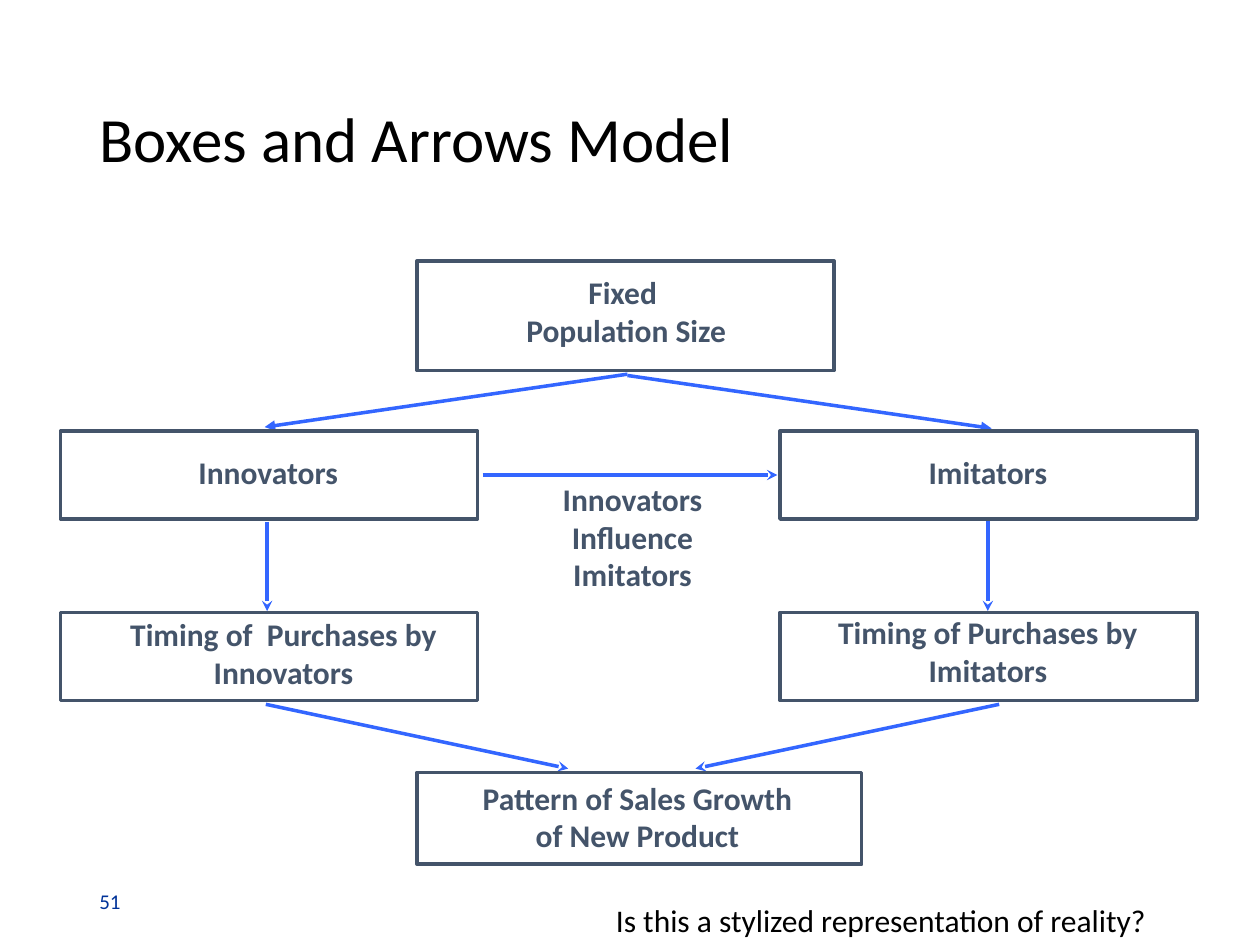
from lxml import etree
from pptx import Presentation
from pptx.dml.color import RGBColor
from pptx.enum.shapes import MSO_CONNECTOR, MSO_SHAPE
from pptx.enum.text import MSO_ANCHOR, PP_ALIGN
from pptx.oxml.ns import qn
from pptx.util import Inches, Pt

RECTANGLE, STRAIGHT = MSO_SHAPE.RECTANGLE, MSO_CONNECTOR.STRAIGHT
LEFT, CENTER = PP_ALIGN.LEFT, PP_ALIGN.CENTER
TOP, MIDDLE = MSO_ANCHOR.TOP, MSO_ANCHOR.MIDDLE

BLACK = RGBColor(0x00, 0x00, 0x00)
WHITE = RGBColor(0xFF, 0xFF, 0xFF)
SLATE = RGBColor(0x44, 0x54, 0x6A)
BLUE = RGBColor(0x33, 0x66, 0xFF)
NAVY = RGBColor(0x00, 0x33, 0x99)
FONT = "Calibri"

# Content
TITLE = "Boxes and Arrows Model"
QUESTION = "Is this a stylized representation of reality?"
PAGE_NUMBER = "51"

# Grid of the diagram, in inches
COLUMNS = {"left": 0.48, "middle": 3.31, "right": 6.19}
ROWS = {"population": 2.07, "groups": 3.42, "timing": 4.86, "sales": 6.13}
BOX_WIDTH, BOX_HEIGHT = 3.31, 0.7
LINE_HEIGHT, LABEL_PADDING = 0.3, 0.1

# Column, row, width, height
BOXES = [
    ("middle", "population", BOX_WIDTH, 0.87),
    ("left", "groups", BOX_WIDTH, BOX_HEIGHT),
    ("right", "groups", BOX_WIDTH, BOX_HEIGHT),
    ("left", "timing", BOX_WIDTH, BOX_HEIGHT),
    ("right", "timing", BOX_WIDTH, BOX_HEIGHT),
    ("middle", "sales", 3.53, 0.73),
]

# Lines of text, centre, top, width
LABELS = [
    (["Fixed ", "Population Size"], 4.97, 2.12, 2.79),
    (["Innovators"], 2.13, 3.55, 1.5),
    (["Imitators"], 7.84, 3.55, 1.31),
    (["Innovators", "Influence", "Imitators"], 5.02, 3.76, 1.5),
    (["Timing of  Purchases by", "Innovators"], 2.25, 4.83, 3.25),
    (["Timing of Purchases by", "Imitators"], 7.84, 4.82, 3.42),
    (["Pattern of Sales Growth", "of New Product"], 5.06, 6.13, 3.53),
]

# Start, end, arrowhead
ARROWS = [
    ((4.98, 2.97), (2.1, 3.39), "triangle"),
    ((4.98, 2.98), (7.87, 3.4), "triangle"),
    ((3.83, 3.77), (6.17, 3.77), "stealth"),
    ((2.12, 4.14), (2.12, 4.85), "stealth"),
    ((7.84, 4.1), (7.84, 4.85), "stealth"),
    ((2.11, 5.59), (4.51, 6.1), "stealth"),
    ((7.93, 5.59), (5.52, 6.1), "stealth"),
]


def add_text(page, lines, place, size, color, bold=False,
             align=LEFT, anchor=TOP, wrap=True, spacing=1.0):
    frame = page.shapes.add_textbox(*map(Inches, place)).text_frame
    frame.word_wrap = wrap
    frame.vertical_anchor = anchor
    frame.text = "\n".join(lines)
    for para in frame.paragraphs:
        para.alignment = align
        para.line_spacing = spacing
        for span in para.runs:
            span.font.name = FONT
            span.font.size = Pt(size)
            span.font.bold = bold
            span.font.color.rgb = color


def add_arrow(page, start, end, head):
    arrow = page.shapes.add_connector(STRAIGHT, *map(Inches, start + end))
    arrow.line.color.rgb = BLUE
    arrow.line.width = Pt(2)
    etree.SubElement(arrow.line._get_or_add_ln(), qn("a:tailEnd"), type=head)
    etree.SubElement(arrow._element.spPr, qn("a:effectLst"))


def add_box(page, column, row, width, height):
    place = (COLUMNS[column], ROWS[row], width, height)
    box = page.shapes.add_shape(RECTANGLE, *map(Inches, place))
    box.shadow.inherit = False
    box.fill.solid()
    box.fill.fore_color.rgb = WHITE
    box.line.color.rgb = SLATE
    box.line.width = Pt(2)


def main():
    deck = Presentation()
    deck.slide_width, deck.slide_height = Inches(10), Inches(7.5)
    page = deck.slides.add_slide(deck.slide_layouts[6])

    # Title
    add_text(page, [TITLE], (0.69, 0.4, 8.62, 1.45), 36, BLACK,
             anchor=MIDDLE, spacing=0.9)

    # Diagram: arrows behind boxes, labels on top
    for arrow in ARROWS:
        add_arrow(page, *arrow)
    for box in BOXES:
        add_box(page, *box)
    for lines, center, top, width in LABELS:
        height = len(lines) * LINE_HEIGHT + LABEL_PADDING
        add_text(page, lines, (center - width / 2, top, width, height),
                 18, SLATE, bold=True, align=CENTER)

    # Footer
    add_text(page, [PAGE_NUMBER], (0.69, 6.95, 2.25, 0.4), 12, NAVY,
             anchor=MIDDLE)
    add_text(page, [QUESTION], (4.79, 7.1, 4.79, 0.4), 18, BLACK, wrap=False)

    deck.save("out.pptx")


if __name__ == "__main__":
    main()
